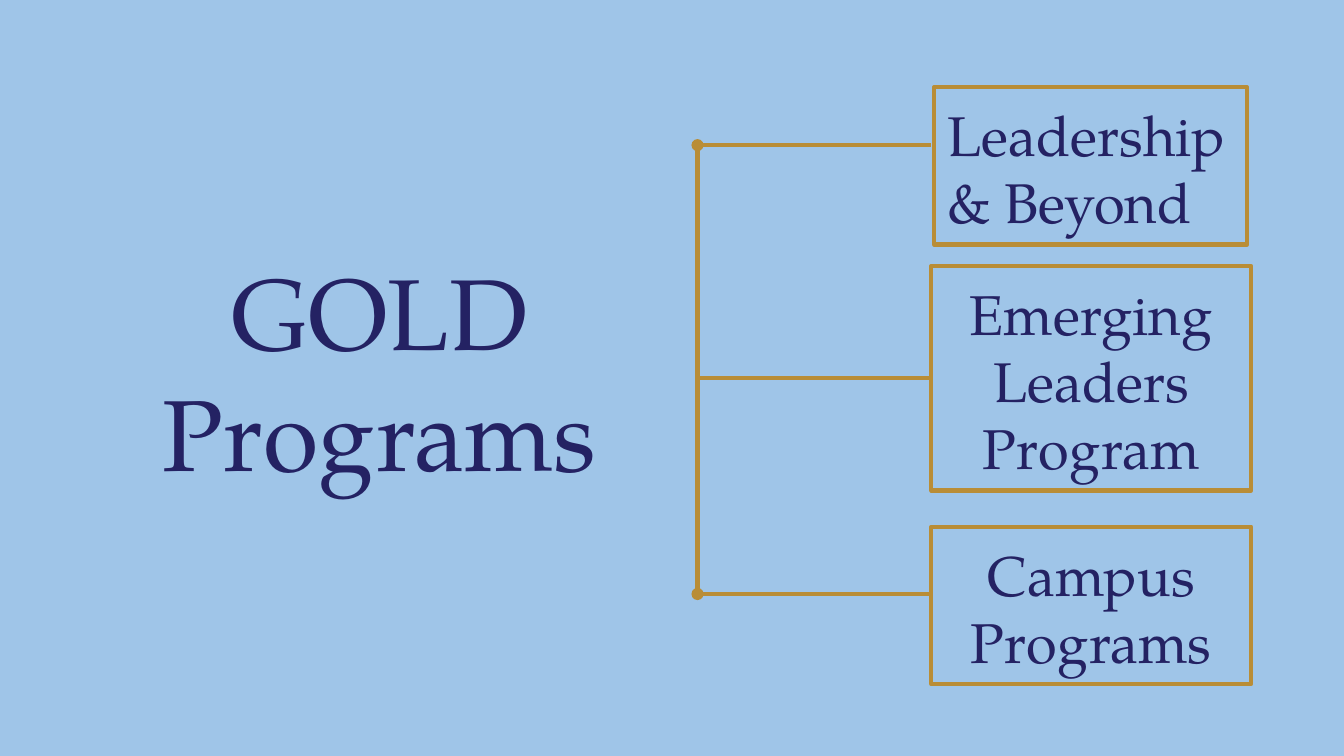
from pptx import Presentation
from pptx.dml.color import RGBColor
from pptx.enum.shapes import MSO_CONNECTOR as Connector, MSO_SHAPE as Shape
from pptx.enum.text import MSO_ANCHOR as Anchor, MSO_AUTO_SIZE as AutoSize, PP_ALIGN as Align
from pptx.oxml.ns import qn
from pptx.util import Inches, Pt
from lxml.etree import SubElement

TITLE = "GOLD Programs"
# text, alignment, (left, top, width, height), branch height
PROGRAMS = [
    ("Leadership & Beyond", Align.LEFT, (6.95, 0.65, 2.33, 1.17), 1.08),
    ("Emerging Leaders Program", Align.CENTER, (6.93, 1.98, 2.38, 1.67), 2.81),
    ("Campus Programs", Align.CENTER, (6.93, 3.92, 2.38, 1.17), 4.42),
]
TITLE_AREA = (0.53, 0.39, 4.59, 3.85)
TITLE_DROP = 0.89
TRUNK_X, BRANCH_END, DOT, INSET = 5.19, 6.93, 0.08, 0.1

THEME = {
    "font": "TeX Gyre Pagella",
    "background": RGBColor.from_string("9FC5E8"),
    "text": RGBColor.from_string("242263"),
    "gold": RGBColor.from_string("B98D36"),
    "title_size": Pt(54),
    "label_size": Pt(30),
    "line": Pt(2.25),
    "dot_line": Pt(0.75),
}


def write(shape, text, size, align, anchor, top_inset=INSET):
    frame = shape.text_frame
    frame.text = text
    frame.word_wrap = True
    frame.auto_size = AutoSize.NONE
    frame.vertical_anchor = anchor
    frame.margin_left = frame.margin_right = frame.margin_bottom = Inches(INSET)
    frame.margin_top = Inches(top_inset)
    para = frame.paragraphs[0]
    para.alignment = align
    for span in para.runs:
        span.font.name = THEME["font"]
        span.font.size = size
        span.font.color.rgb = THEME["text"]


def outline(item, width):
    item.line.color.rgb = THEME["gold"]
    item.line.width = width


def add_line(page, *ends):
    line = page.shapes.add_connector(Connector.STRAIGHT, *map(Inches, ends))
    outline(line, THEME["line"])
    SubElement(line._element.spPr, qn("a:effectLst"))


def add_shape(page, kind, area, width):
    shape = page.shapes.add_shape(kind, *map(Inches, area))
    shape.shadow.inherit = False
    outline(shape, width)
    return shape


def main():
    deck = Presentation()
    deck.slide_width = Inches(10)
    deck.slide_height = deck.slide_width * 9 // 16
    page = deck.slides.add_slide(deck.slide_layouts[5])
    page.background.fill.solid()
    page.background.fill.fore_color.rgb = THEME["background"]

    title = page.shapes.title
    title.left, title.top, title.width, title.height = map(Inches, TITLE_AREA)
    write(title, TITLE, THEME["title_size"], Align.CENTER, Anchor.MIDDLE, INSET + TITLE_DROP)

    branches = [y for *_, y in PROGRAMS]
    for y in branches:
        add_line(page, TRUNK_X, y, BRANCH_END, y)
    trunk_ends = branches[0], branches[-1]
    add_line(page, TRUNK_X, trunk_ends[0], TRUNK_X, trunk_ends[1])
    for y in trunk_ends:
        area = (TRUNK_X - DOT / 2, y - DOT / 2, DOT, DOT)
        dot = add_shape(page, Shape.OVAL, area, THEME["dot_line"])
        dot.fill.solid()
        dot.fill.fore_color.rgb = THEME["gold"]

    for text, align, area, _ in PROGRAMS:
        box = add_shape(page, Shape.RECTANGLE, area, THEME["line"])
        box.fill.background()
        write(box, text, THEME["label_size"], align, Anchor.TOP)

    deck.save("out.pptx")


if __name__ == "__main__":
    main()
